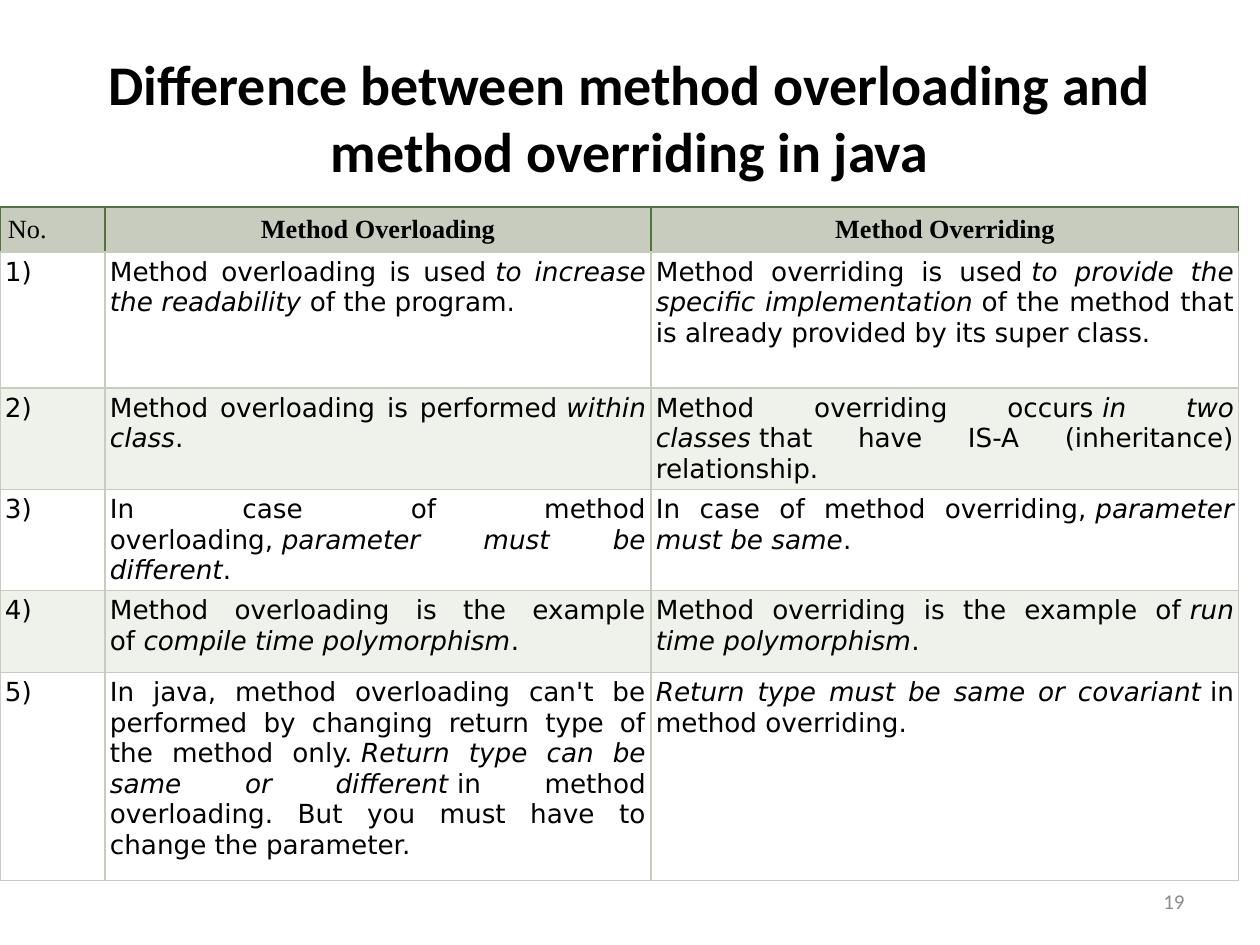
import pptx
import pptx.dml.color
import pptx.enum.text
import pptx.oxml
import pptx.oxml.ns
import pptx.util

ALIGN = pptx.enum.text.PP_ALIGN
MIDDLE = pptx.enum.text.MSO_ANCHOR.MIDDLE
COLORS = {"text": "000000", "head": "C7CCBE", "head_line": "50743C", "line": "C7CCBE",
          "odd": "FFFFFF", "even": "EFF1EB", "number": "8C8C8C"}
COLUMNS = [105, 546, 588]
ROW_HEIGHTS = [33, 136, 100, 64, 82, 208]
HEADINGS = ["No.", "Method Overloading", "Method Overriding"]
# Asterisks enclose italic words.
DIFFERENCES = [
    ("Method overloading is used\u00a0*to increase the readability*\u00a0of the program.",
     "Method overriding is used\u00a0*to provide the specific implementation*"
     "\u00a0of the method that is already provided by its super class."),
    ("Method overloading is performed\u00a0*within class*.",
     "Method overriding occurs\u00a0*in two classes*"
     "\u00a0that have IS-A (inheritance) relationship."),
    ("In case of method overloading,\u00a0*parameter must be different*.",
     "In case of method overriding,\u00a0*parameter must be same*."),
    ("Method overloading is the example of\u00a0*compile time polymorphism*.",
     "Method overriding is the example of\u00a0*run time polymorphism*."),
    ("In java, method overloading can't be performed by changing return type of the method "
     "only.\u00a0*Return type can be same or different*\u00a0in method overloading. "
     "But you must have to change the parameter.",
     "*Return type must be same or covariant*\u00a0in method overriding."),
]


def px(n):
    """Turn picture pixels into EMU."""
    return pptx.util.Emu(round(n * 914400 / 126))


def rgb(name):
    """Look up a named colour."""
    return pptx.dml.color.RGBColor.from_string(COLORS[name])


def write(tf, text, size=15, font="DejaVu Sans", color="text", bold=False, align=ALIGN.LEFT):
    """Write one paragraph, setting the words between asterisks in italics."""
    p = tf.paragraphs[0]
    p.alignment = align
    for i, part in enumerate(text.split("*")):
        if part:
            r = p.add_run()
            r.text = part
            r.font.size = pptx.util.Pt(size)
            r.font.name = font
            r.font.bold = bold
            r.font.italic = i % 2 == 1
            r.font.color.rgb = rgb(color)


class Deck:
    """Holds the presentation and its current slide."""

    def __init__(self):
        """Start a presentation with one title-only slide."""
        self.prs = pptx.Presentation()
        self.prs.slide_width, self.prs.slide_height = px(1260), px(945)
        self.slide = self.prs.slides.add_slide(self.prs.slide_layouts[5])

    def title(self, text, x, y, w, h):
        """Fill and place the title placeholder."""
        sp = self.slide.shapes.title
        sp.left, sp.top, sp.width, sp.height = map(px, (x, y, w, h))
        sp.text_frame.vertical_anchor = MIDDLE
        write(sp.text_frame, text, size=32, font="Calibri", bold=True, align=ALIGN.CENTER)

    def text(self, text, x, y, w, h, **style):
        """Add a wrapping text box."""
        tf = self.slide.shapes.add_textbox(*map(px, (x, y, w, h))).text_frame
        tf.word_wrap = True
        tf.vertical_anchor = MIDDLE
        write(tf, text, **style)

    def table(self, x, y, widths, heights):
        """Add a table with the given column widths and row heights."""
        sp = self.slide.shapes.add_table(len(heights), len(widths), px(x), px(y),
                                         px(sum(widths)), px(sum(heights)))
        for col, w in zip(sp.table.columns, widths):
            col.width = px(w)
        for row, h in zip(sp.table.rows, heights):
            row.height = px(h)
        return sp.table

    def cell(self, cell, text, fill, inset, lines, **style):
        """Format one cell; lines names the left, right, top and bottom colours."""
        cell.margin_left = cell.margin_right = px(inset)
        cell.margin_top = cell.margin_bottom = px(inset)
        tc_pr = cell._tc.get_or_add_tcPr()
        for side, color in zip("LRTB", lines):
            tc_pr.append(pptx.oxml.parse_xml(
                f'<a:ln{side} {pptx.oxml.ns.nsdecls("a")} w="9525"><a:solidFill>'
                f'<a:srgbClr val="{COLORS[color]}"/></a:solidFill></a:ln{side}>'))
        cell.fill.solid()
        cell.fill.fore_color.rgb = rgb(fill)
        write(cell.text_frame, text, **style)


def main():
    """Build the slide and save it."""
    deck = Deck()
    deck.title("Difference between method overloading and method overriding in java",
               63, 38, 1134, 157)
    table = deck.table(0, 207, COLUMNS, ROW_HEIGHTS)
    for c, heading in enumerate(HEADINGS):
        deck.cell(table.cell(0, c), heading, "head", 8, ["head_line"] * 3 + ["line"],
                  font="Times New Roman", bold=c > 0,
                  align=ALIGN.CENTER if c else ALIGN.LEFT)
    for n, pair in enumerate(DIFFERENCES, 1):
        for c, text in enumerate((f"{n})", *pair)):
            deck.cell(table.cell(n, c), text, "odd" if n % 2 else "even", 5,
                      ["line"] * 4, align=ALIGN.JUSTIFY)
    deck.text("19", 903, 876, 294, 50, size=12, font="Calibri", color="number",
              align=ALIGN.RIGHT)
    deck.prs.save("out.pptx")


main()
